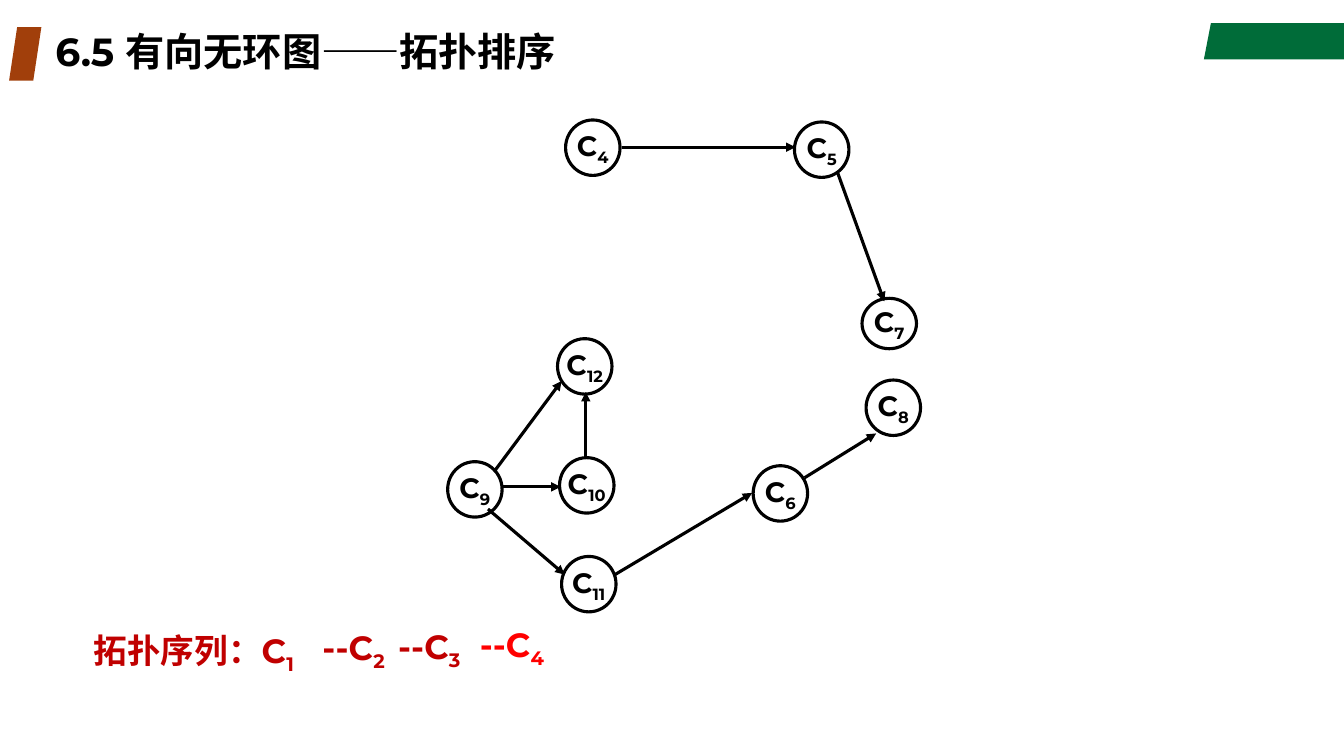
"""Builds the slide on topological sorting of a directed acyclic graph."""
from lxml.etree import SubElement
from pptx import Presentation
from pptx.dml.color import RGBColor
from pptx.enum.shapes import MSO_CONNECTOR, MSO_SHAPE
from pptx.enum.text import MSO_ANCHOR, PP_ALIGN
from pptx.oxml.ns import qn
from pptx.util import Inches, Pt

FONT = "Montserrat"
BLACK, GREEN, BROWN, DARK_RED, RED = "000000", "006C39", "A13F0B", "C00000", "FF0000"
WIDTH, HEIGHT = 13.33, 7.5
NODE_WIDTH, NODE_HEIGHT = 0.54, 0.55

TITLE = "6.5 有向无环图——拓扑排序"
BANNER = [(12.01, 0.23), (WIDTH, 0.23), (WIDTH, 0.59), (11.94, 0.59)]
NODES = {
    "4": (5.61, 1.19), "5": (7.88, 1.21), "6": (7.47, 4.62),
    "7": (8.55, 2.96), "8": (8.59, 3.77), "9": (4.44, 4.58),
    "10": (5.55, 4.54), "11": (5.57, 5.52), "12": (5.53, 3.36),
}
NODE_HEIGHTS = {"7": 0.5}
ARROWS = [
    ((6.17, 1.46), (7.89, 1.46)),
    ((8.31, 1.72), (8.77, 2.99)),
    ((4.9, 4.68), (5.57, 3.78)),
    ((4.98, 4.83), (5.56, 4.83)),
    ((5.81, 4.54), (5.81, 3.89)),
    ((4.84, 5.05), (5.6, 5.7)),
    ((6.1, 5.7), (7.46, 4.89)),
    ((7.98, 4.74), (8.69, 4.3)),
]
SEQUENCE = [
    ("拓扑序列：C", "1", DARK_RED, 0.83, 6.15, 2.41),
    ("--C", "2", DARK_RED, 3.1, 6.12, 1.02),
    ("--C", "3", DARK_RED, 3.85, 6.11, 1.05),
    ("--C", "4", RED, 4.66, 6.09, 1.18),
]


def color(value):
    return RGBColor.from_string(value)


def inches(*values):
    return [Inches(value) for value in values]


def add_span(para, text, size, shade, subscript=False):
    span = para.add_run()
    span.text = text
    span.font.name = FONT
    span.font.size = Pt(size)
    span.font.bold = True
    span.font.color.rgb = color(shade)
    if subscript:
        span.font._element.set("baseline", "-25000")


def add_term(para, text, index, size, shade):
    add_span(para, text, size, shade)
    add_span(para, index, size, shade, subscript=True)


def paint(shape, shade):
    shape.shadow.inherit = False
    shape.fill.solid()
    shape.fill.fore_color.rgb = color(shade)
    shape.line.fill.background()


def add_title(page):
    title = page.shapes.title
    title.left, title.top, title.width, title.height = inches(0.45, 0.27, 9.45, 0.53)
    title.text_frame.vertical_anchor = MSO_ANCHOR.MIDDLE
    para = title.text_frame.paragraphs[0]
    para.alignment = PP_ALIGN.LEFT
    para.line_spacing = 0.9
    add_span(para, TITLE, 28, BLACK)


def add_decoration(page):
    start, *corners = [inches(*point) for point in BANNER]
    outline = page.shapes.build_freeform(*start)
    outline.add_line_segments(corners, close=True)
    paint(outline.convert_to_shape(), GREEN)
    marker = page.shapes.add_shape(MSO_SHAPE.PARALLELOGRAM, *inches(0.09, 0.27, 0.32, 0.53))
    marker.adjustments[0] = 0.25
    paint(marker, BROWN)


def add_node(page, index, left, top):
    height = NODE_HEIGHTS.get(index, NODE_HEIGHT)
    node = page.shapes.add_shape(MSO_SHAPE.OVAL, *inches(left, top, NODE_WIDTH, height))
    node.shadow.inherit = False
    node.fill.background()
    node.line.color.rgb = color(BLACK)
    node.line.width = Pt(2.25)
    node.text_frame.word_wrap = False
    node.text_frame.vertical_anchor = MSO_ANCHOR.MIDDLE
    para = node.text_frame.paragraphs[0]
    para.alignment = PP_ALIGN.CENTER
    add_term(para, "C", index, 20, BLACK)


def add_arrow(page, start, end):
    arrow = page.shapes.add_connector(MSO_CONNECTOR.STRAIGHT, *inches(*start, *end))
    arrow.line.color.rgb = color(BLACK)
    arrow.line.width = Pt(2.25)
    SubElement(arrow.line._get_or_add_ln(), qn("a:tailEnd"), type="triangle")
    SubElement(arrow._element.spPr, qn("a:effectLst"))


def add_sequence_term(page, text, index, shade, left, top, width):
    box = page.shapes.add_textbox(*inches(left, top, width, 0.52))
    box.text_frame.word_wrap = True
    para = box.text_frame.paragraphs[0]
    para.line_spacing = 1.1
    add_term(para, text, index, 24, shade)


def main():
    deck = Presentation()
    deck.slide_width, deck.slide_height = inches(WIDTH, HEIGHT)
    page = deck.slides.add_slide(deck.slide_layouts[5])
    add_decoration(page)
    add_title(page)
    for index, corner in NODES.items():
        add_node(page, index, *corner)
    for start, end in ARROWS:
        add_arrow(page, start, end)
    for term in SEQUENCE:
        add_sequence_term(page, *term)
    deck.save("out.pptx")


if __name__ == "__main__":
    main()
